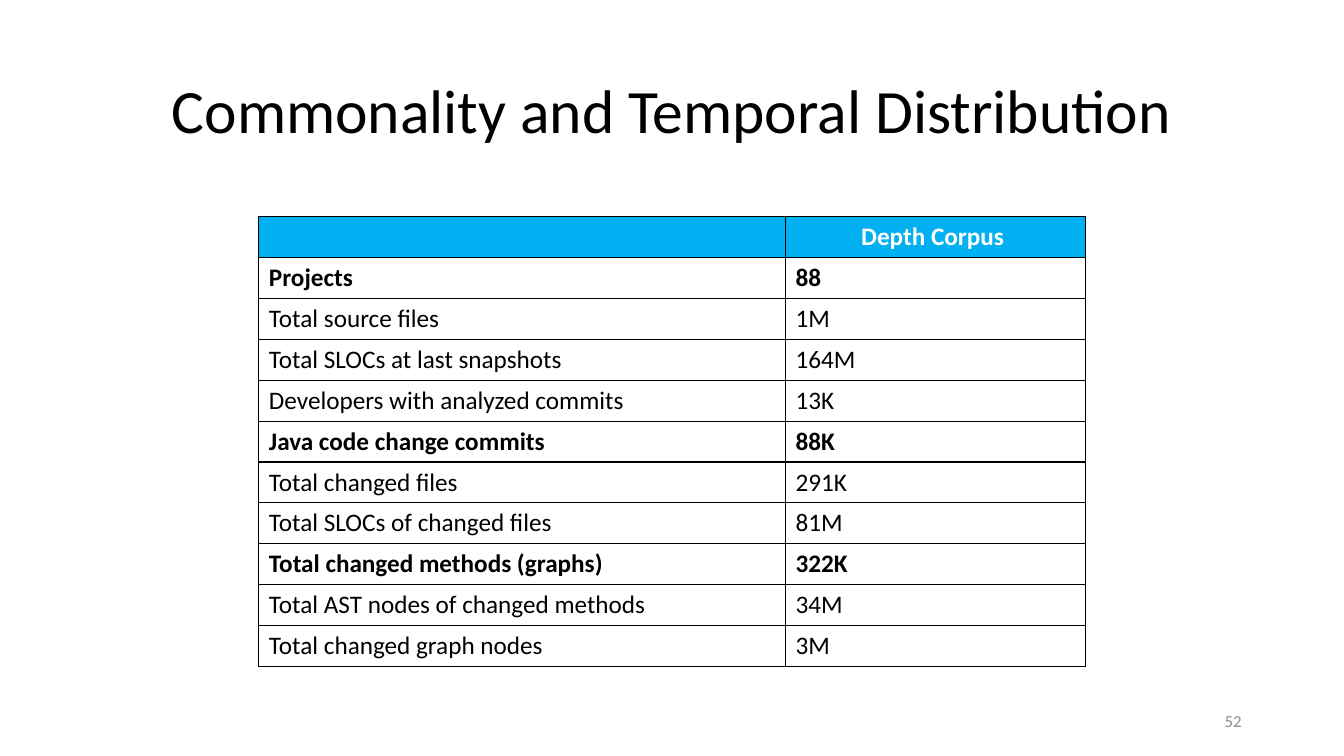
from lxml import etree
from pptx import Presentation
from pptx.dml.color import RGBColor
from pptx.enum.text import MSO_ANCHOR, PP_ALIGN
from pptx.oxml import parse_xml
from pptx.oxml.ns import nsdecls, qn
from pptx.util import Pt

LEFT, CENTER, RIGHT = PP_ALIGN.LEFT, PP_ALIGN.CENTER, PP_ALIGN.RIGHT
MIDDLE = MSO_ANCHOR.MIDDLE

HEADER = ("", "Depth Corpus ")
STATISTICS = [
    ("Projects", "88"),
    ("Total source files", "1M"),
    ("Total SLOCs at last snapshots", "164M"),
    ("Developers with analyzed commits", "13K"),
    ("Java code change commits", "88K"),
    ("Total changed files", "291K"),
    ("Total SLOCs of changed files", "81M"),
    ("Total changed methods (graphs)", "322K"),
    ("Total AST nodes of changed methods", "34M"),
    ("Total changed graph nodes", "3M"),
]
KEY_STATISTICS = {"Projects", "Java code change commits", "Total changed methods (graphs)"}


def color(value):
    return RGBColor.from_string(value)


class SlideBuilder:
    font_name = "Calibri"
    black = "000000"
    white = "FFFFFF"
    gray = "8C8C8C"
    header_blue = "00B0F0"
    table_size = 18
    border_width = 1

    def __init__(self, slide):
        self.slide = slide

    def style_text(self, paragraph, text, size, text_color, alignment, bold=False):
        paragraph.text = text
        paragraph.alignment = alignment
        font = paragraph.font
        font.name = self.font_name
        font.size = Pt(size)
        font.bold = bold
        font.color.rgb = color(text_color)

    def text(self, text, left, top, width, height, size, text_color, alignment, spacing=1.0):
        box = self.slide.shapes.add_textbox(Pt(left), Pt(top), Pt(width), Pt(height))
        frame = box.text_frame
        frame.word_wrap = True
        frame.vertical_anchor = MIDDLE
        paragraph = frame.paragraphs[0]
        self.style_text(paragraph, text, size, text_color, alignment)
        paragraph.line_spacing = spacing

    def borders(self, cell):
        properties = cell._tc.get_or_add_tcPr()
        for index, side in enumerate(("lnL", "lnR", "lnT", "lnB")):
            line = parse_xml(f'<a:{side} {nsdecls("a")} w="{Pt(self.border_width)}"/>')
            fill = etree.SubElement(line, qn("a:solidFill"))
            etree.SubElement(fill, qn("a:srgbClr"), val=self.black)
            properties.insert(index, line)

    def table(self, header, rows, key_labels, left, top, column_widths, row_height):
        records = [header, *rows]
        frame = self.slide.shapes.add_table(
            len(records), len(header), Pt(left), Pt(top),
            Pt(sum(column_widths)), Pt(row_height * len(records)))
        table = frame.table
        table.first_row = False
        table.horz_banding = False
        for column, width in zip(table.columns, column_widths):
            column.width = Pt(width)
        for row_index, record in enumerate(records):
            table.rows[row_index].height = Pt(row_height)
            is_header = row_index == 0
            bold = is_header or record[0] in key_labels
            for column_index, text in enumerate(record):
                cell = table.cell(row_index, column_index)
                if is_header:
                    cell.fill.solid()
                    cell.fill.fore_color.rgb = color(self.header_blue)
                else:
                    cell.fill.background()
                self.borders(cell)
                self.style_text(cell.text_frame.paragraphs[0], text, self.table_size,
                                self.white if is_header else self.black,
                                CENTER if is_header else LEFT, bold)


def main():
    presentation = Presentation()
    presentation.slide_width, presentation.slide_height = Pt(960), Pt(540)
    builder = SlideBuilder(presentation.slides.add_slide(presentation.slide_layouts[6]))
    builder.text("Commonality and Temporal Distribution", 66, 28.75, 828, 104.4,
                 44, builder.black, CENTER, spacing=0.9)
    builder.text("52", 678, 500.5, 216, 28.75, 12, builder.gray, RIGHT)
    builder.table(HEADER, STATISTICS, KEY_STATISTICS, 184.9, 154.8, (376.2, 214.2), 29.2)
    presentation.save("out.pptx")


if __name__ == "__main__":
    main()
